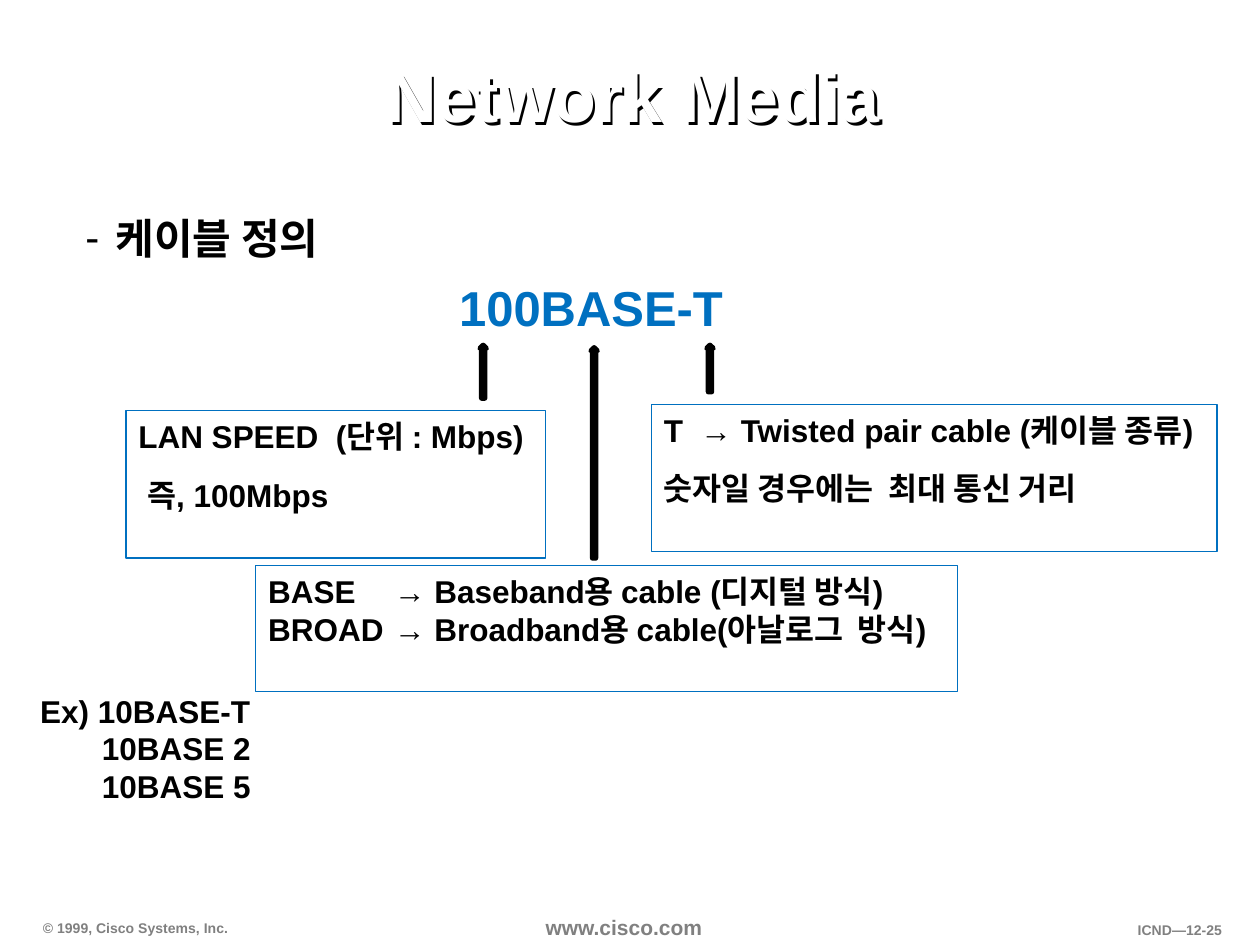
from dataclasses import dataclass

import pptx
import pptx.dml.color
import pptx.enum.shapes
import pptx.enum.text
import pptx.oxml
import pptx.oxml.ns
import pptx.util
from pptx.util import Inches, Pt

RGBColor = pptx.dml.color.RGBColor
Align = pptx.enum.text.PP_ALIGN
Anchor = pptx.enum.text.MSO_ANCHOR
Shapes = pptx.enum.shapes.MSO_SHAPE

BLACK = RGBColor(0x00, 0x00, 0x00)
WHITE = RGBColor(0xFF, 0xFF, 0xFF)
GRAY = RGBColor(0x80, 0x80, 0x80)
BLUE = RGBColor(0x00, 0x70, 0xC0)
NAMESPACE = pptx.oxml.ns.nsdecls("a")


@dataclass(frozen=True)
class Line:
    text: str
    indent: float = 0
    before: float = 0
    tab: float = 0
    bullet: str = ""


@dataclass(frozen=True)
class Block:
    left: float
    top: float
    width: float
    height: float
    lines: tuple[Line, ...]
    size: float = 18
    color: RGBColor = BLACK
    align: Align = Align.LEFT
    anchor: Anchor = Anchor.TOP
    inset: tuple[float, float] = (0.1, 0.05)
    wrap: bool = True
    outlined: bool = False
    spacing: float = 1.0
    shadowed: bool = False


@dataclass(frozen=True)
class Arrow:
    left: float
    top: float
    height: float


FOOTER_INSET = (0.09, 0.04)

BLOCKS = (
    Block(0.25, 7.25, 1.68, 0.22, (Line("© 1999, Cisco Systems, Inc."),), 8, GRAY,
          anchor=Anchor.BOTTOM, inset=FOOTER_INSET, wrap=False),
    Block(4.25, 7.22, 1.5, 0.28, (Line("www.cisco.com"),), 12, GRAY, inset=(0.08, 0.04)),
    Block(8.52, 7.27, 1.27, 0.22, (Line("ICND—12-25"),), 8, GRAY, Align.RIGHT,
          inset=FOOTER_INSET, wrap=False),
    Block(0.67, 0.17, 8.71, 1.25, (Line("Network Media"),), 40, WHITE, Align.CENTER,
          Anchor.MIDDLE, FOOTER_INSET, spacing=0.9, shadowed=True),
    Block(0.58, 1.64, 8.49, 0.5, (Line("케이블 정의", indent=0.24, bullet="-"),), 24),
    Block(0.28, 2.15, 8.82, 0.57, (Line("100BASE-T"),), 28, BLUE, Align.CENTER),
    Block(1, 3.26, 3.33, 1.17,
          (Line("LAN SPEED  (단위 : Mbps)"), Line("즉, 100Mbps", indent=0.07, before=12)),
          outlined=True),
    Block(2.03, 4.49, 5.57, 1,
          (Line("BASE\t→ Baseband용 cable (디지털 방식)", tab=0.98),
           Line("BROAD\t→ Broadband용 cable(아날로그  방식)", tab=0.98)),
          outlined=True),
    Block(5.17, 3.21, 4.49, 1.17,
          (Line("T  → Twisted pair cable (케이블 종류)"),
           Line("숫자일 경우에는  최대 통신 거리", before=12)),
          outlined=True),
    Block(0.22, 5.44, 9.56, 1,
          (Line("Ex) 10BASE-T"), Line("10BASE 2", indent=0.49), Line("10BASE 5", indent=0.49))),
)

ARROWS = (Arrow(3.81, 2.74, 0.42), Arrow(5.61, 2.74, 0.37), Arrow(4.69, 2.76, 1.67))


def append_xml(parent, xml: str) -> None:
    parent.append(pptx.oxml.parse_xml(xml))


def write_line(paragraph, line: Line, block: Block) -> None:
    paragraph.add_run().text = line.text
    paragraph.alignment = block.align
    paragraph.line_spacing = block.spacing
    paragraph.space_before = Pt(line.before)
    properties = paragraph._p.get_or_add_pPr()
    properties.set("marL", str(Inches(line.indent)))
    properties.set("indent", str(Inches(-line.indent if line.bullet else 0)))
    if line.bullet:
        append_xml(properties, f'<a:buClr {NAMESPACE}><a:srgbClr val="{BLACK}"/></a:buClr>')
        append_xml(properties, f'<a:buFont {NAMESPACE} typeface="Arial"/>')
        append_xml(properties, f'<a:buChar {NAMESPACE} char="{line.bullet}"/>')
    if line.tab:
        append_xml(properties, f'<a:tabLst {NAMESPACE}>'
                               f'<a:tab pos="{Inches(line.tab)}" algn="l"/></a:tabLst>')
    font = paragraph.font
    font.name = "Arial"
    font.size = Pt(block.size)
    font.bold = True
    font.color.rgb = block.color


def cast_shadow(box) -> None:
    append_xml(box._element.spPr,
               f'<a:effectLst {NAMESPACE}>'
               f'<a:outerShdw dist="{Pt(2)}" dir="2700000" algn="ctr" rotWithShape="0">'
               f'<a:srgbClr val="{BLACK}"/></a:outerShdw></a:effectLst>')


def draw_block(slide, block: Block) -> None:
    bounds = [Inches(n) for n in (block.left, block.top, block.width, block.height)]
    if block.outlined:
        box = slide.shapes.add_shape(Shapes.RECTANGLE, *bounds)
        box.shadow.inherit = False
        box.fill.background()
        box.line.color.rgb = BLUE
        box.line.width = Pt(0.75)
    else:
        box = slide.shapes.add_textbox(*bounds)
    if block.shadowed:
        cast_shadow(box)
    frame = box.text_frame
    frame.word_wrap = block.wrap
    frame.vertical_anchor = block.anchor
    frame.margin_left = frame.margin_right = Inches(block.inset[0])
    frame.margin_top = frame.margin_bottom = Inches(block.inset[1])
    for index, line in enumerate(block.lines):
        paragraph = frame.add_paragraph() if index else frame.paragraphs[0]
        write_line(paragraph, line, block)


def draw_arrow(slide, arrow: Arrow) -> None:
    pointer = slide.shapes.add_shape(Shapes.UP_ARROW, Inches(arrow.left), Inches(arrow.top),
                                     Inches(0.05), Inches(arrow.height))
    pointer.shadow.inherit = False
    pointer.fill.background()
    pointer.line.color.rgb = BLACK
    pointer.line.width = Pt(3)


def main() -> None:
    presentation = pptx.Presentation()
    presentation.slide_width = Inches(10)
    presentation.slide_height = Inches(7.5)
    slide = presentation.slides.add_slide(presentation.slide_layouts[6])
    for block in BLOCKS:
        draw_block(slide, block)
    for arrow in ARROWS:
        draw_arrow(slide, arrow)
    presentation.save("out.pptx")


if __name__ == "__main__":
    main()
